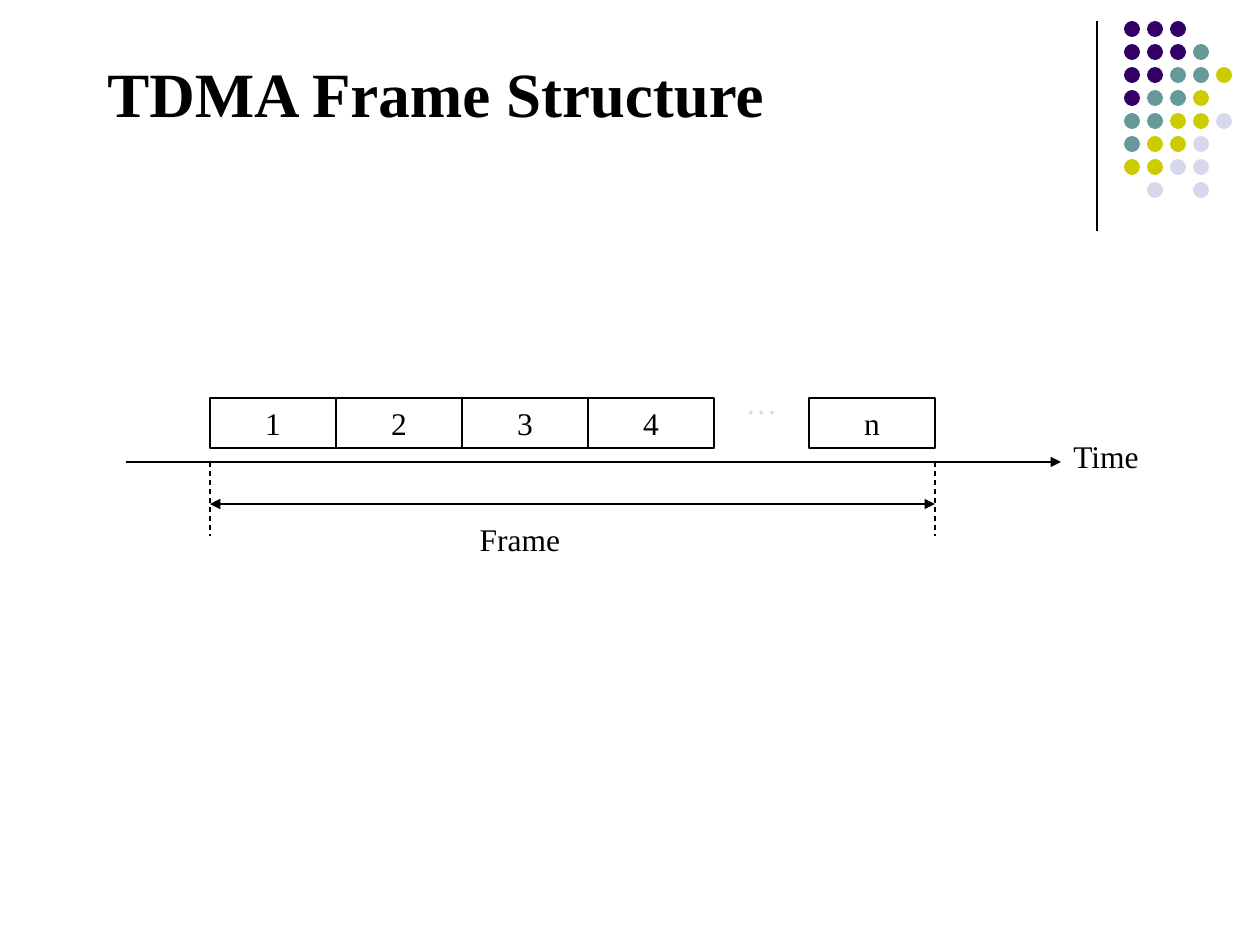
"""Build the TDMA frame structure slide."""
from pptx import Presentation
from pptx import util as u
from pptx.dml.color import RGBColor
from pptx.enum import dml, shapes, text
from pptx.oxml.ns import qn
from lxml import etree

BLACK = RGBColor(0x00, 0x00, 0x00)
PURPLE = RGBColor(0x33, 0x00, 0x66)
TEAL = RGBColor(0x66, 0x99, 0x99)
OLIVE = RGBColor(0xCC, 0xCC, 0x00)
LAVENDER = RGBColor(0xD8, 0xD8, 0xEC)
FONT = "Times New Roman"

DOT_COLORS = {"P": PURPLE, "T": TEAL, "O": OLIVE, "L": LAVENDER}
DOT_ROWS = ["PPP", "PPPT", "PPTTO", "PTTO", "TTOOL", "TOOL", "OOLL", " L L"]
DOT_LEFT, DOT_TOP, DOT_PITCH, DOT_SIZE = 1124, 21, 23, 16

TITLE = "TDMA Frame Structure"
SLOT_TOP, SLOT_WIDTH, SLOT_HEIGHT = 398, 126, 50
FRAME_LEFT, FRAME_RIGHT = 210, 935
AXIS_Y, FRAME_Y, GUIDE_BOTTOM = 462, 504, 536
SLOTS = [(name, FRAME_LEFT + index * SLOT_WIDTH) for index, name in enumerate("1234")]
SLOTS.append(("n", FRAME_RIGHT - SLOT_WIDTH))
LABELS = [
    ("…", 714, 377, 95, text.PP_ALIGN.CENTER, LAVENDER),
    ("Time", 1061, 431, 116, text.PP_ALIGN.LEFT, BLACK),
    ("Frame", 336, 514, 368, text.PP_ALIGN.CENTER, BLACK),
]
LINES = [
    ((1097, 21), (1097, 231), False, ()),
    ((126, AXIS_Y), (1061, AXIS_Y), False, ("tailEnd",)),
    ((FRAME_LEFT, AXIS_Y), (FRAME_LEFT, GUIDE_BOTTOM), True, ()),
    ((FRAME_RIGHT, AXIS_Y), (FRAME_RIGHT, GUIDE_BOTTOM), True, ()),
    ((FRAME_LEFT, FRAME_Y), (FRAME_RIGHT, FRAME_Y), False, ("headEnd", "tailEnd")),
]


def px(*lengths):
    return [u.Emu(round(length * 914400 / 126)) for length in lengths]


def write(shape, content, size, color, align, anchor=text.MSO_ANCHOR.TOP, bold=False):
    frame = shape.text_frame
    frame.text = content
    frame.word_wrap = True
    frame.vertical_anchor = anchor
    paragraph = frame.paragraphs[0]
    paragraph.alignment = align
    font = paragraph.runs[0].font
    font.name, font.size, font.bold = FONT, u.Pt(size), bold
    font.color.rgb = color


def add_line(slide, start, end, dashed, arrows):
    connector = slide.shapes.add_connector(
        shapes.MSO_CONNECTOR.STRAIGHT, *px(*start, *end))
    connector.line.color.rgb = BLACK
    connector.line.width = u.Pt(0.75)
    if dashed:
        connector.line.dash_style = dml.MSO_LINE.DASH
    for arrow in arrows:
        etree.SubElement(connector.line._get_or_add_ln(), qn(f"a:{arrow}"), type="triangle")
    etree.SubElement(connector._element.spPr, qn("a:effectLst"))


def add_dots(slide):
    for row, codes in enumerate(DOT_ROWS):
        for column, code in enumerate(codes):
            if code in DOT_COLORS:
                dot = slide.shapes.add_shape(
                    shapes.MSO_SHAPE.OVAL,
                    *px(DOT_LEFT + column * DOT_PITCH, DOT_TOP + row * DOT_PITCH,
                        DOT_SIZE, DOT_SIZE))
                dot.shadow.inherit = False
                dot.fill.solid()
                dot.fill.fore_color.rgb = DOT_COLORS[code]
                dot.line.fill.background()


def main():
    presentation = Presentation()
    presentation.slide_width, presentation.slide_height = px(1260, 945)
    slide = presentation.slides.add_slide(presentation.slide_layouts[6])
    add_dots(slide)

    title = slide.shapes.add_textbox(*px(95, 13, 1121, 123))
    write(title, TITLE, 36, BLACK, text.PP_ALIGN.LEFT, text.MSO_ANCHOR.BOTTOM, True)

    for name, left in SLOTS:
        slot = slide.shapes.add_shape(
            shapes.MSO_SHAPE.RECTANGLE, *px(left, SLOT_TOP, SLOT_WIDTH, SLOT_HEIGHT))
        slot.shadow.inherit = False
        slot.fill.background()
        slot.line.color.rgb = BLACK
        slot.line.width = u.Pt(0.75)
        write(slot, name, 18, BLACK, text.PP_ALIGN.CENTER)

    for content, left, top, width, align, color in LABELS:
        label = slide.shapes.add_textbox(*px(left, top, width, SLOT_HEIGHT))
        write(label, content, 18, color, align)

    for line in LINES:
        add_line(slide, *line)

    presentation.save("out.pptx")


if __name__ == "__main__":
    main()
